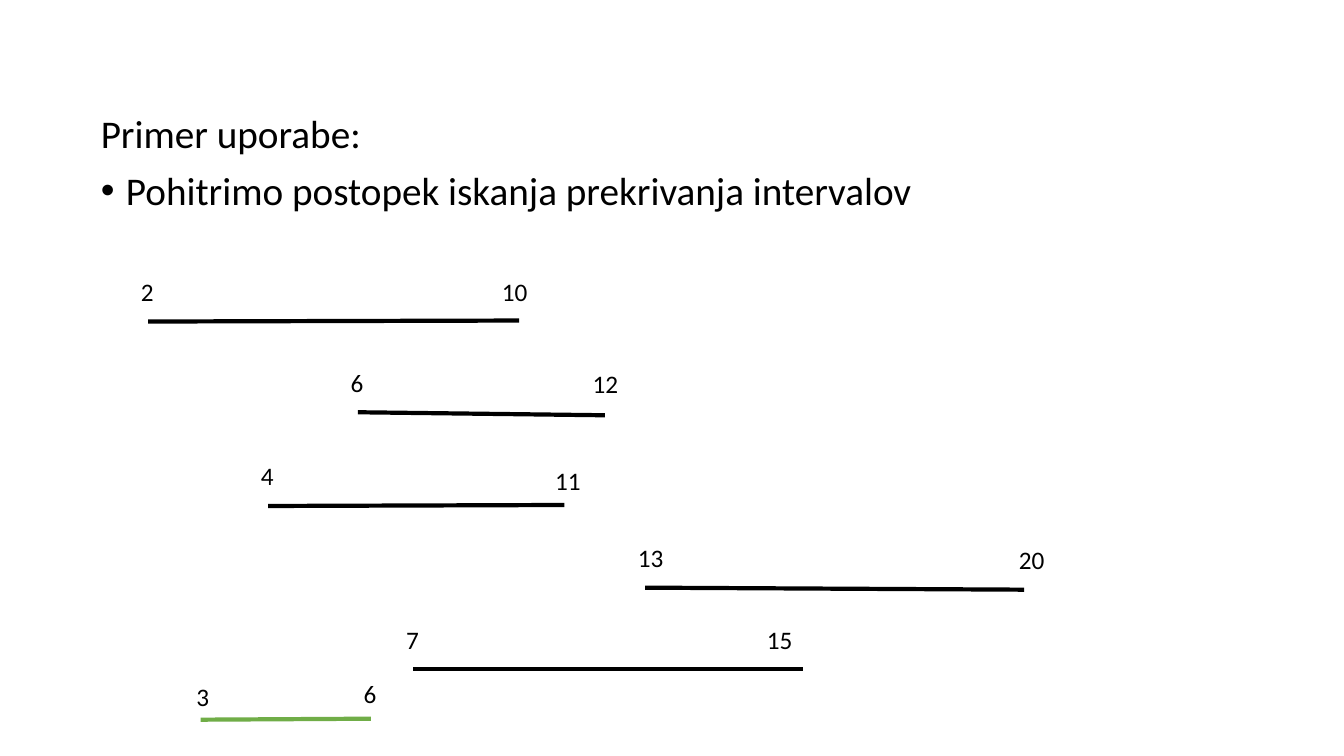
"""Build a slide showing number intervals and a query interval."""
import pptx
import pptx.dml.color
import pptx.enum.shapes
import pptx.enum.text
import pptx.oxml.ns
import pptx.util
from lxml import etree

Pt = pptx.util.Pt
RGB = pptx.dml.color.RGBColor.from_string
qn = pptx.oxml.ns.qn

HEADING = "Primer uporabe:"
BULLET = "Pohitrimo postopek iskanja prekrivanja intervalov"

# Each end: value, line x, line y, label left, label top
INTERVALS = [
    ("stored", ("2", 105.84, 229.68, 93.6, 193.68), ("10", 370.8, 228.96, 351.36, 193.68)),
    ("stored", ("6", 255.6, 294.48, 243.36, 258.48), ("12", 432, 296.64, 416.16, 259.92)),
    ("stored", ("4", 191.52, 361.44, 179.28, 325.44), ("11", 403.2, 360.72, 389.52, 329.04)),
    ("stored", ("13", 460.8, 419.76, 448.56, 383.76), ("20", 731.52, 421.2, 720.72, 385.2)),
    ("stored", ("7", 295.2, 478.08, 282.96, 442.08), ("15", 573.84, 478.08, 540.72, 442.08)),
    ("query", ("3", 143.28, 514.08, 133.2, 483.12), ("6", 264.96, 513.36, 252.72, 480.96)),
]

THEME = {
    "font": "Calibri", "text": "000000", "stored": "000000", "query": "70AD47",
    "body_size": 28, "label_size": 18, "line_width": 3,
}
SLIDE_SIZE = (960, 540)
BODY_BOX = (64.8, 78.48, 828, 113.04)
LABEL_SIZES = ((39.6, 30.24), (42.48, 28.8))
BULLET_INDENT = 18
BODY_SPACING = {"line_spacing": 0.9, "space_before": Pt(10), "space_after": Pt(0)}
LABEL_FRAME = {"word_wrap": True, "auto_size": pptx.enum.text.MSO_AUTO_SIZE.SHAPE_TO_FIT_TEXT}
BODY_FRAME = {
    "word_wrap": True,
    "auto_size": pptx.enum.text.MSO_AUTO_SIZE.NONE,
    "vertical_anchor": pptx.enum.text.MSO_ANCHOR.TOP,
}


def apply(target, values):
    """Set each attribute named in values."""
    for name, value in values.items():
        setattr(target, name, value)


def write(paragraph, text, size):
    """Add a run in the theme's font."""
    run = paragraph.add_run()
    run.text = text
    apply(run.font, {"name": THEME["font"], "size": Pt(size)})
    run.font.color.rgb = RGB(THEME["text"])


def fill_body(body):
    """Place the body and write the heading and its bullet."""
    apply(body, dict(zip(("left", "top", "width", "height"), map(Pt, BODY_BOX))))
    frame = body.text_frame
    apply(frame, BODY_FRAME)
    for text, indent in ((HEADING, 0), (BULLET, BULLET_INDENT)):
        paragraph = frame.paragraphs[0] if text == HEADING else frame.add_paragraph()
        write(paragraph, text, THEME["body_size"])
        apply(paragraph, BODY_SPACING)
        properties = paragraph._p.get_or_add_pPr()
        properties.set("marL", str(Pt(indent)))
        properties.set("indent", str(-Pt(indent)))
        if indent:
            etree.SubElement(properties, qn("a:buFont"), typeface="Arial")
            etree.SubElement(properties, qn("a:buChar"), char="•")
        else:
            etree.SubElement(properties, qn("a:buNone"))


def draw_interval(shapes, role, start, end):
    """Draw one interval line and label both of its ends."""
    interval = shapes.add_connector(
        pptx.enum.shapes.MSO_CONNECTOR.STRAIGHT, *map(Pt, start[1:3] + end[1:3]))
    interval.line.color.rgb = RGB(THEME[role])
    interval.line.width = Pt(THEME["line_width"])
    etree.SubElement(interval._element.spPr, qn("a:effectLst"))
    for (value, _, _, left, top), size in zip((start, end), LABEL_SIZES):
        label = shapes.add_textbox(*map(Pt, (left, top) + size))
        apply(label.text_frame, LABEL_FRAME)
        write(label.text_frame.paragraphs[0], value, THEME["label_size"])


def main():
    """Create and save the presentation."""
    deck = pptx.Presentation()
    apply(deck, dict(zip(("slide_width", "slide_height"), map(Pt, SLIDE_SIZE))))
    slide = deck.slides.add_slide(deck.slide_layouts[1])
    title = slide.shapes.title._element
    title.getparent().remove(title)
    fill_body(slide.placeholders[1])
    for role, start, end in INTERVALS:
        draw_interval(slide.shapes, role, start, end)
    deck.save("out.pptx")


if __name__ == "__main__":
    main()
